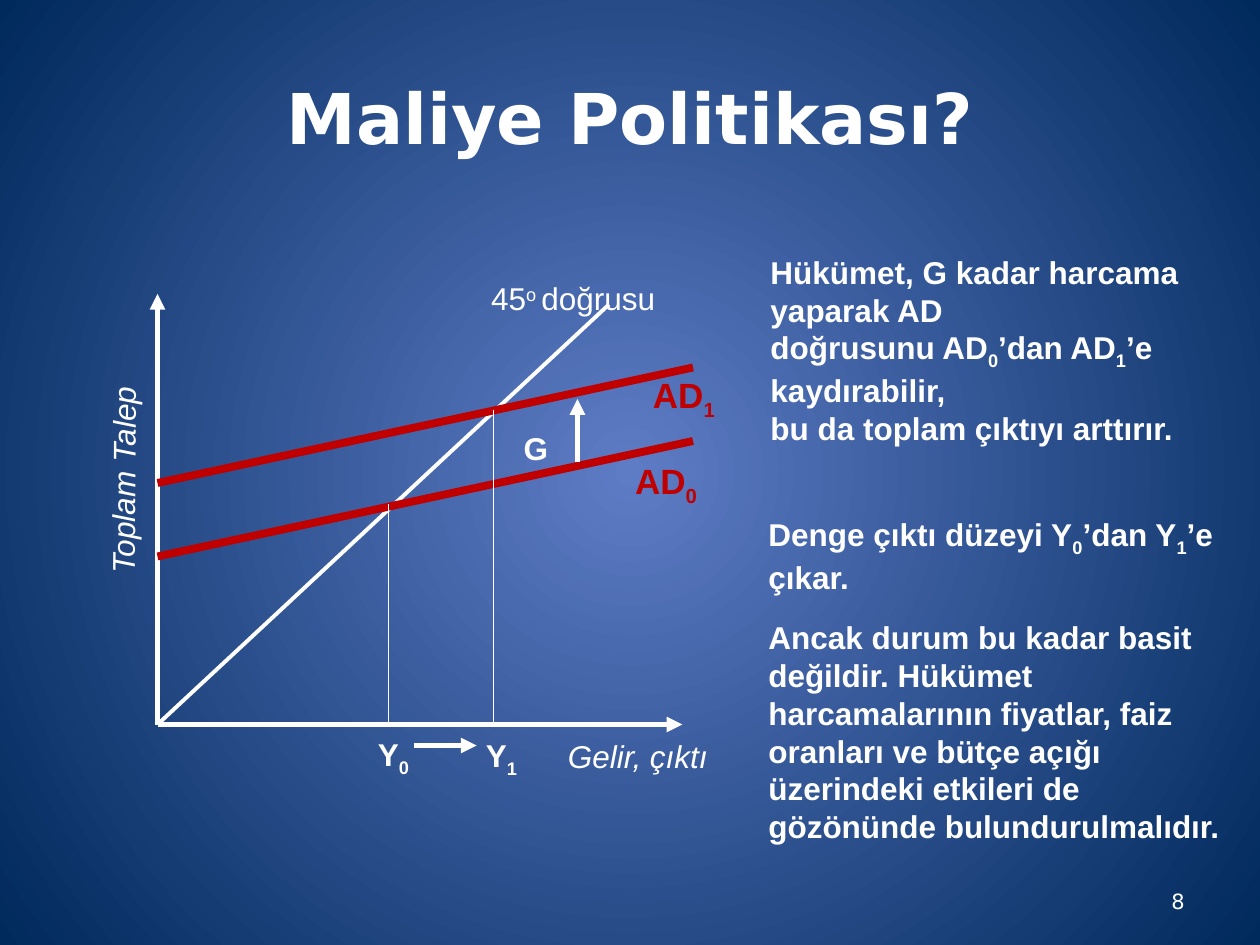
from dataclasses import dataclass
from typing import NamedTuple

from lxml import etree
from pptx import Presentation, util as u
from pptx.dml.color import RGBColor
from pptx.enum import shapes, text
from pptx.oxml.ns import qn

# Grid of 120 columns by 90 rows
WIDE, HIGH = u.Inches(10), u.Inches(7.5)
COL, ROW = WIDE / 120, HIGH / 90


@dataclass(frozen=True)
class Theme:
    white: str = "FFFFFF"
    red: str = "C00000"
    core: str = "5E7CC5"
    edge: str = "00295C"
    head: str = "DejaVu Sans"
    body: str = "Arial"
    title: int = 40
    curve: int = 20
    label: int = 18
    page: int = 12
    thin: float = 0.75
    mid: float = 2.25
    axis: float = 3
    bold: float = 4.5


T = Theme()


class Run(NamedTuple):
    text: str
    base: int = 0


class Line(NamedTuple):
    start: tuple[float, float]
    end: tuple[float, float]
    width: float
    color: str = T.white
    arrow: bool = False


@dataclass
class Note:
    box: tuple[float, float, float, float]
    paras: list[list[Run]]
    size: int = T.label
    color: str = T.white
    font: str = T.body
    bold: bool = True
    slant: bool = False
    wrap: bool = False
    fit: bool = True
    align: text.PP_ALIGN = text.PP_ALIGN.LEFT
    turn: float = 0


def sub(*parts: str) -> list[Run]:
    """Set every second part as a subscript."""
    return [Run(part, -25 * (i % 2)) for i, part in enumerate(parts)]


def draw_line(slide, line: Line) -> None:
    (x1, y1), (x2, y2) = line.start, line.end
    shape = slide.shapes.add_connector(
        shapes.MSO_CONNECTOR.STRAIGHT,
        round(x1 * COL), round(y1 * ROW), round(x2 * COL), round(y2 * ROW))
    shape.line.width = u.Pt(line.width)
    shape.line.color.rgb = RGBColor.from_string(line.color)
    if line.arrow:
        tip = etree.SubElement(shape.line._get_or_add_ln(), qn("a:tailEnd"))
        tip.set("type", "triangle")
    etree.SubElement(shape._element.spPr, qn("a:effectLst"))


def draw_note(slide, note: Note) -> None:
    x, y, w, h = note.box
    shape = slide.shapes.add_textbox(
        round(x * COL), round(y * ROW), round(w * COL), round(h * ROW))
    shape.rotation = note.turn
    frame = shape.text_frame
    frame.word_wrap = note.wrap
    if note.fit:
        frame.auto_size = text.MSO_AUTO_SIZE.SHAPE_TO_FIT_TEXT
    else:
        frame.vertical_anchor = text.MSO_ANCHOR.MIDDLE
    for i, runs in enumerate(note.paras):
        para = frame.add_paragraph() if i else frame.paragraphs[0]
        para.alignment = note.align
        for part in runs:
            run = para.add_run()
            run.text = part.text
            font = run.font
            font.name, font.size = note.font, u.Pt(note.size)
            font.bold, font.italic = note.bold, note.slant
            font.color.rgb = RGBColor.from_string(note.color)
            if part.base:
                run._r.get_or_add_rPr().set("baseline", str(part.base * 1000))


def paint_back(slide) -> None:
    """Radial gradient from the middle of the slide."""
    fill = slide.background.fill
    fill.gradient()
    for stop, color, place in zip(fill.gradient_stops, (T.core, T.edge), (0, 1)):
        stop.color.rgb = RGBColor.from_string(color)
        stop.position = place
    grad = slide.background._cSld.find(".//" + qn("a:gradFill"))
    grad.remove(grad.find(qn("a:lin")))
    ring = etree.Element(qn("a:path"), {"path": "circle"})
    etree.SubElement(ring, qn("a:fillToRect"), dict.fromkeys("ltrb", "50000"))
    grad.find(qn("a:gsLst")).addnext(ring)


ZERO = (15, 69)
LINES = [
    # Axes and 45 degree line
    Line(ZERO, (65, 69), T.axis, arrow=True),
    Line(ZERO, (15, 28), T.axis, arrow=True),
    Line(ZERO, (58, 29), T.mid),
    # Demand curves
    Line((15, 53), (66, 42), T.bold, T.red),
    Line((15, 46), (66, 35), T.bold, T.red),
    # Output levels
    Line((37, 48), (37, 69), T.thin),
    Line((47, 39), (47, 69.2), T.thin),
    # Shifts
    Line((55, 44), (55, 38), T.axis, arrow=True),
    Line((39.4, 71), (45.4, 71), T.axis, arrow=True),
]

NOTES = [
    # Title and page number
    Note((6, 3.6, 108, 15), [[Run("Maliye Politikası?")]], T.title, font=T.head,
         wrap=True, fit=False, align=text.PP_ALIGN.CENTER),
    Note((86, 83.4, 28, 4.8), [[Run("8")]], T.page, font=T.head, bold=False,
         wrap=True, fit=False, align=text.PP_ALIGN.RIGHT),
    # Graph labels
    Note((52.9, 69.6, 16, 4.8), [[Run("Gelir, çıktı")]], bold=False, slant=True),
    Note((1.3, 43, 20.8, 4.8), [[Run("Toplam Talep")]], bold=False, slant=True,
         turn=270.3),
    Note((45.6, 26, 18.5, 4.8), [[Run("45"), Run("o ", 30), Run("doğrusu")]],
         bold=False),
    Note((59.3, 43.2, 8.5, 5.3), [sub("AD", "0")], T.curve, T.red),
    Note((61, 35, 8.5, 5.3), [sub("AD", "1")], T.curve, T.red),
    Note((34.8, 69.4, 5.5, 4.8), [sub("Y", "0")]),
    Note((45.1, 69.5, 5.5, 4.8), [sub("Y", "1")]),
    Note((48.7, 40.3, 4.8, 4.8), [[Run("G")]]),
    # Explanation
    Note((72.2, 23.5, 42.1, 19.2), [
        sub("Hükümet, G kadar harcama"),
        sub("yaparak AD"),
        sub("doğrusunu AD", "0", "’dan AD", "1", "’e"),
        sub("kaydırabilir,"),
        sub("bu da toplam çıktıyı arttırır.")]),
    Note((72, 48.5, 46, 8.4), [
        sub("Denge çıktı düzeyi Y", "0", "’dan Y", "1", "’e"),
        sub("çıkar.")]),
    Note((72, 58.3, 45.6, 22.8), [sub(
        "Ancak durum bu kadar basit değildir. Hükümet harcamalarının "
        "fiyatlar, faiz oranları ve bütçe açığı üzerindeki etkileri de "
        "gözönünde bulundurulmalıdır.")], wrap=True),
]


def main() -> None:
    deck = Presentation()
    deck.slide_width, deck.slide_height = WIDE, HIGH
    slide = deck.slides.add_slide(deck.slide_layouts[6])
    paint_back(slide)
    for line in LINES:
        draw_line(slide, line)
    for note in NOTES:
        draw_note(slide, note)
    deck.save("out.pptx")


if __name__ == "__main__":
    main()
